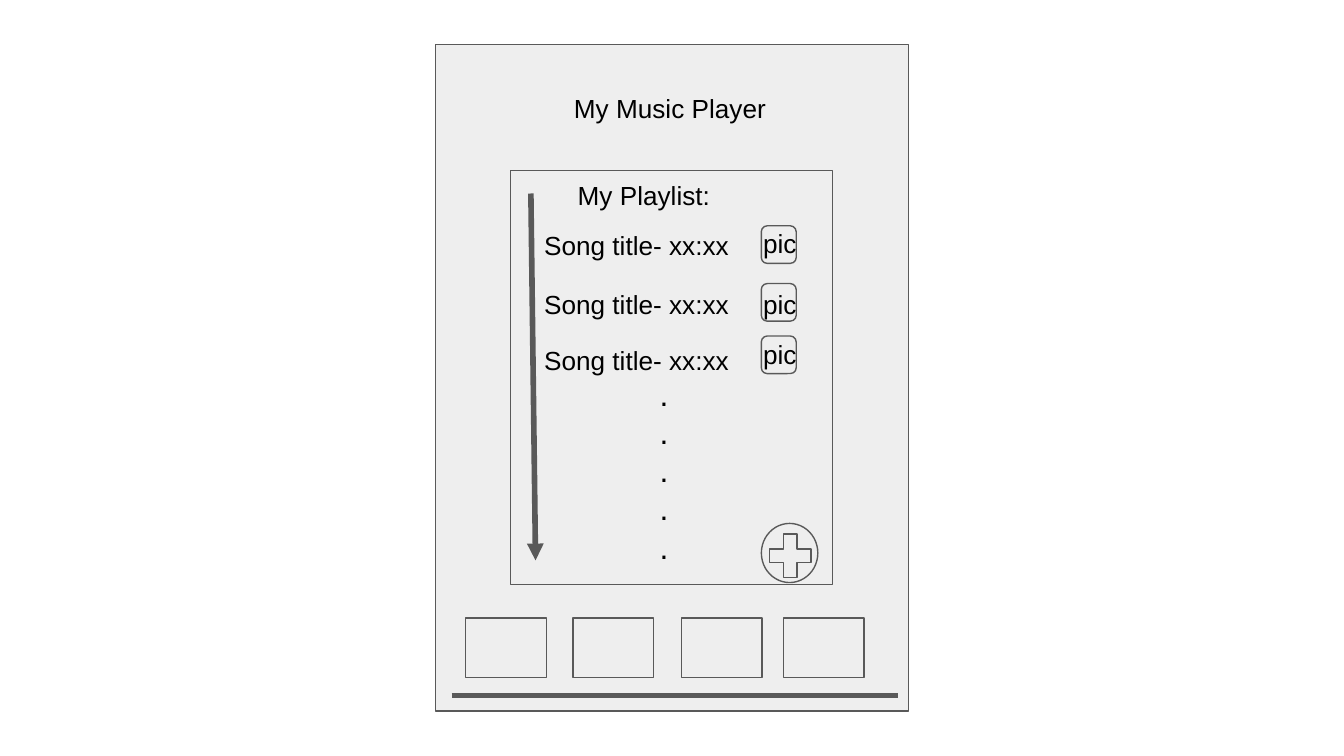
from lxml.etree import SubElement
from pptx import Presentation
from pptx.dml.color import RGBColor
from pptx.enum.shapes import MSO_CONNECTOR, MSO_SHAPE
from pptx.enum.text import MSO_ANCHOR, MSO_AUTO_SIZE, PP_ALIGN
from pptx.oxml.ns import qn
from pptx.util import Pt

PX = 4572
GRAY = RGBColor(0xEE, 0xEE, 0xEE)
DARK = RGBColor(0x59, 0x59, 0x59)
BLACK = RGBColor(0, 0, 0)


def scale(*nums):
    return [n * PX for n in nums]


def add_box(slide, kind, *area, fill=GRAY, adj=None):
    box = slide.shapes.add_shape(kind, *scale(*area))
    box.shadow.inherit = False
    if fill is None:
        box.fill.background()
    else:
        box.fill.solid()
        box.fill.fore_color.rgb = fill
    box.line.color.rgb = DARK
    box.line.width = Pt(0.75)
    if adj is not None:
        box.adjustments[0] = adj


def style_text(shape, text, size=14):
    frame = shape.text_frame
    frame.text = text
    frame.word_wrap = True
    frame.auto_size = MSO_AUTO_SIZE.SHAPE_TO_FIT_TEXT
    frame.vertical_anchor = MSO_ANCHOR.TOP
    frame.margin_left = frame.margin_right = 20 * PX
    frame.margin_top = frame.margin_bottom = 20 * PX
    for para in frame.paragraphs:
        para.alignment = PP_ALIGN.LEFT
        para.line_spacing = 1.0
        para.space_before = Pt(0)
        for run in para.runs:
            run.font.name = "Arial"
            run.font.size = Pt(size)
            run.font.color.rgb = BLACK


def add_text(slide, text, *area, size=14):
    style_text(slide.shapes.add_textbox(*scale(*area)), text, size)


def add_title(slide, text, *area):
    title = slide.shapes.title
    title.left, title.top, title.width, title.height = scale(*area)
    style_text(title, text)
    title.element.getparent().append(title.element)


def add_line(slide, *ends, arrow=False):
    line = slide.shapes.add_connector(MSO_CONNECTOR.STRAIGHT, *scale(*ends))
    line.line.color.rgb = DARK
    line.line.width = Pt(3)
    props = line.element.spPr
    if arrow:
        SubElement(props.find(qn("a:ln")), qn("a:tailEnd"), type="triangle")
    SubElement(props, qn("a:effectLst"))


def add_song(slide, title_top, box_top, pic_top):
    add_text(slide, "Song title- xx:xx", 790, title_top, 396, 88)
    add_box(slide, MSO_SHAPE.ROUNDED_RECTANGLE, 1133, box_top, 52, 56, adj=0.17)
    add_text(slide, "pic", 1116, pic_top, 120, 88)


def main():
    deck = Presentation()
    deck.slide_width, deck.slide_height = scale(2000, 1125)
    slide = deck.slides.add_slide(deck.slide_layouts[5])

    add_box(slide, MSO_SHAPE.RECTANGLE, 648, 66, 704, 992)
    add_title(slide, "My Music Player", 834, 118, 332, 88)
    add_box(slide, MSO_SHAPE.RECTANGLE, 760, 254, 479, 616)
    add_text(slide, "My Playlist:", 840, 247, 382, 88)

    for tops in ((322, 336, 318), (409, 422, 409), (493, 500, 484)):
        add_song(slide, *tops)
    add_text(slide, "\n".join("." * 5), 962, 538, 84, 326, size=17)
    add_line(slide, 790, 288, 797, 834, arrow=True)

    for left in (693, 853, 1014, 1166):
        add_box(slide, MSO_SHAPE.RECTANGLE, left, 920, 120, 88)
    add_line(slide, 672, 1035, 1336, 1035)

    add_box(slide, MSO_SHAPE.MATH_PLUS, 1134, 783, 84, 88, adj=0.235)
    add_box(slide, MSO_SHAPE.OVAL, 1133, 779, 84, 88, fill=None)
    deck.save("out.pptx")


if __name__ == "__main__":
    main()
